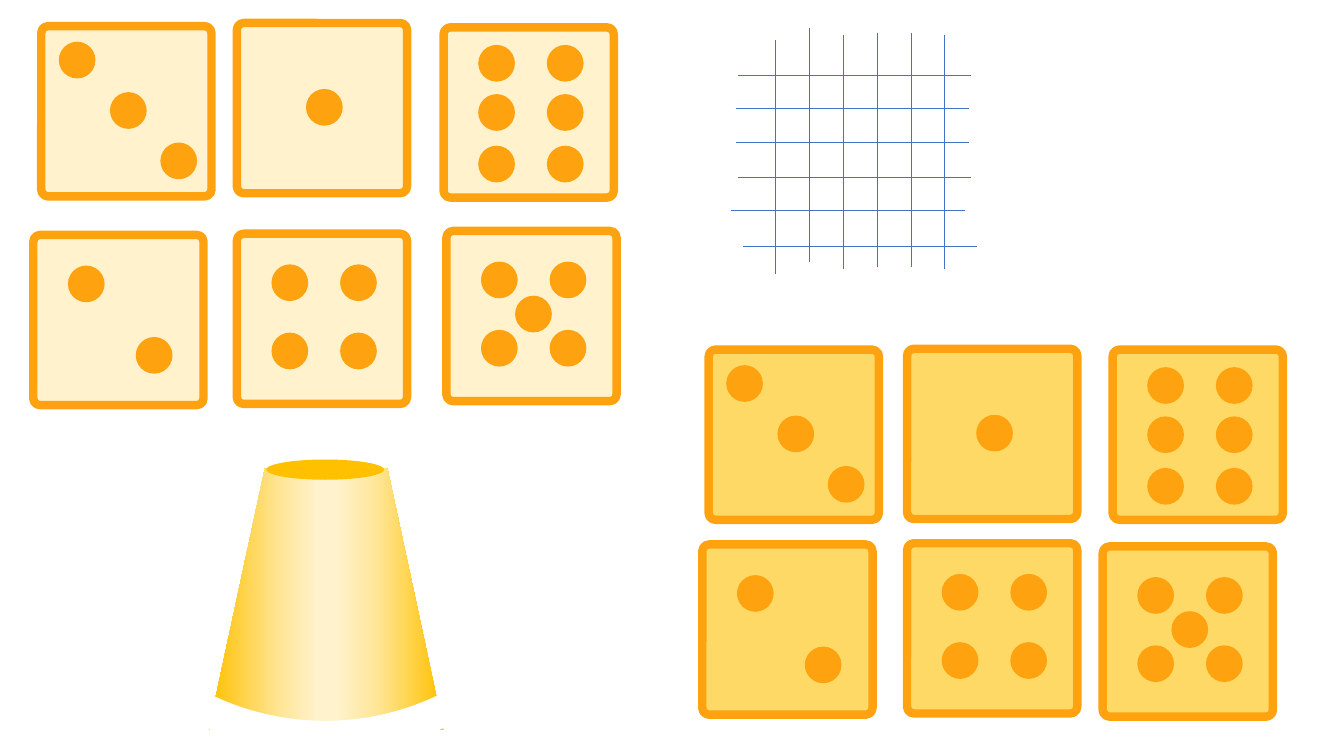
from dataclasses import dataclass
from itertools import product
from lxml.etree import SubElement
from pptx import Presentation
from pptx.dml.color import RGBColor
from pptx.enum.shapes import MSO_CONNECTOR as Link, MSO_SHAPE as Kind
from pptx.oxml.ns import qn
from pptx.util import Cm, Pt


@dataclass(frozen=True)
class Theme:
    light: str = "FFF2CC"
    dark: str = "FFD966"
    pale: str = "FFE699"
    gold: str = "FFC000"
    amber: str = "FFA210"
    blue: str = "4472C4"
    white: str = "FFFFFF"
    edge: float = 6
    rim: float = 1
    thin: float = 0.5
    brush: float = 23


T = Theme()

# Content: dice as face -> left, top (cm)
SETS = [
    (T.light, {3: (1.04, 0.66), 1: (5.97, 0.58), 2: (0.84, 5.92),
               4: (5.97, 5.89), 6: (11.18, 0.69), 5: (11.25, 5.82)}),
    (T.dark, {3: (17.86, 8.81), 1: (22.86, 8.79), 2: (17.7, 13.72),
              4: (22.86, 13.69), 6: (28.04, 8.81), 5: (27.79, 13.77)}),
]
SIDE, DOT = 4.29, 0.89

# Dot offsets inside a die
COLS = (0.89, 2.62)
FOUR = list(product(COLS, (0.79, 2.51)))
DOTS = {
    1: [(1.76, 1.68)],
    2: [(0.89, 0.79), (2.6, 2.59)],
    3: [(0.46, 0.41), (1.75, 1.68), (3.02, 2.95)],
    4: FOUR,
    5: FOUR + [(1.75, 1.65)],
    6: list(product(COLS, (0.46, 1.7, 3.0))),
}

# Loose grid: start of each line, all of one length
SPAN = 5.89
ROWS = [(18.59, 1.9), (18.54, 2.74), (18.54, 3.58),
        (18.59, 4.47), (18.42, 5.31), (18.72, 6.2)]
BARS = [(19.53, 1.02), (20.4, 0.71), (21.26, 0.89),
        (22.12, 0.84), (22.96, 0.84), (23.8, 0.89)]

# Cup: body, mouth and the white arc that rounds its foot
BODY = (5.26, 11.79, 5.92, 6.6)
MOUTH = (6.71, 11.58, 2.97, 0.51)
FOOT = (1.19, 4.57, 14, 14)
SHINE = [(0, T.gold), (29, T.pale), (45, T.light),
         (54, T.light), (69, T.pale), (100, T.gold)]


def rgb(tint):
    return RGBColor.from_string(tint)


def ink(line, tint, width):
    line.color.rgb = rgb(tint)
    line.width = Pt(width)


def draw(group, kind, box, fill=None, line=None, **form):
    shape = group.shapes.add_shape(kind, *map(Cm, box))
    shape.shadow.inherit = False
    if fill:
        shape.fill.solid()
        shape.fill.fore_color.rgb = rgb(fill)
    else:
        shape.fill.background()
    if line:
        ink(shape.line, *line)
    else:
        shape.line.fill.background()
    for name, value in form.items():
        setattr(shape, name, value)
    return shape


def die(slide, face, spot, fill):
    group = slide.shapes.add_group_shape()
    box = draw(group, Kind.ROUNDED_RECTANGLE, (*spot, SIDE, SIDE),
               fill, (T.amber, T.edge))
    box.adjustments[0] = 0.04
    for dx, dy in DOTS[face]:
        draw(group, Kind.OVAL, (spot[0] + dx, spot[1] + dy, DOT, DOT),
             T.amber, (T.amber, T.rim))


def rule(group, x, y, dx, dy):
    ends = map(Cm, (x, y, x + dx, y + dy))
    line = group.shapes.add_connector(Link.STRAIGHT, *ends)
    ink(line.line, T.blue, T.thin)
    SubElement(line._element.spPr, qn("a:effectLst"))


def shade(shape, stops):
    shape.fill.gradient()
    shape.fill.gradient_angle = 180
    grad = shape._element.spPr.find(qn("a:gradFill"))
    items = grad.find(qn("a:gsLst"))
    for old in list(items):
        items.remove(old)
    for place, tint in stops:
        stop = SubElement(items, qn("a:gs"), pos=str(place * 1000))
        SubElement(stop, qn("a:srgbClr"), val=tint)


deck = Presentation()
deck.slide_width, deck.slide_height = Cm(33.87), Cm(19.05)
slide = deck.slides.add_slide(deck.slide_layouts[6])

# Dice
for fill, dice in SETS:
    for face, spot in dice.items():
        die(slide, face, spot, fill)

# Grid
grid = slide.shapes.add_group_shape()
for x, y in ROWS:
    rule(grid, x, y, SPAN, 0)
for x, y in BARS:
    rule(grid, x, y, 0, SPAN)

# Cup
cup = slide.shapes.add_group_shape()
body = draw(cup, Kind.TRAPEZOID, BODY)
body.adjustments[0] = 0.24
shade(body, SHINE)
draw(cup, Kind.OVAL, MOUTH, T.gold)
draw(cup, Kind.ARC, FOOT, line=(T.white, T.brush), rotation=134.1)

deck.save("out.pptx")
